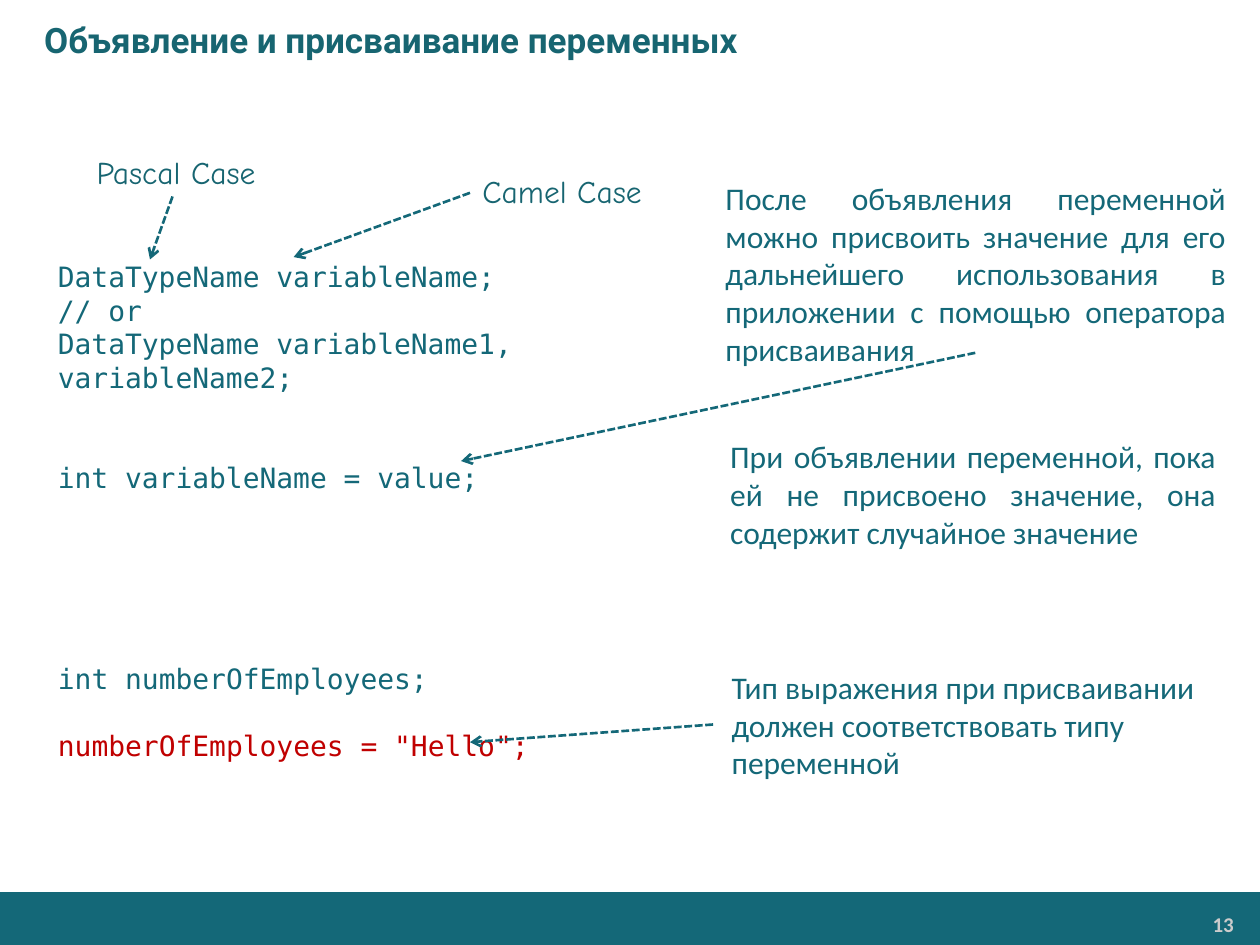
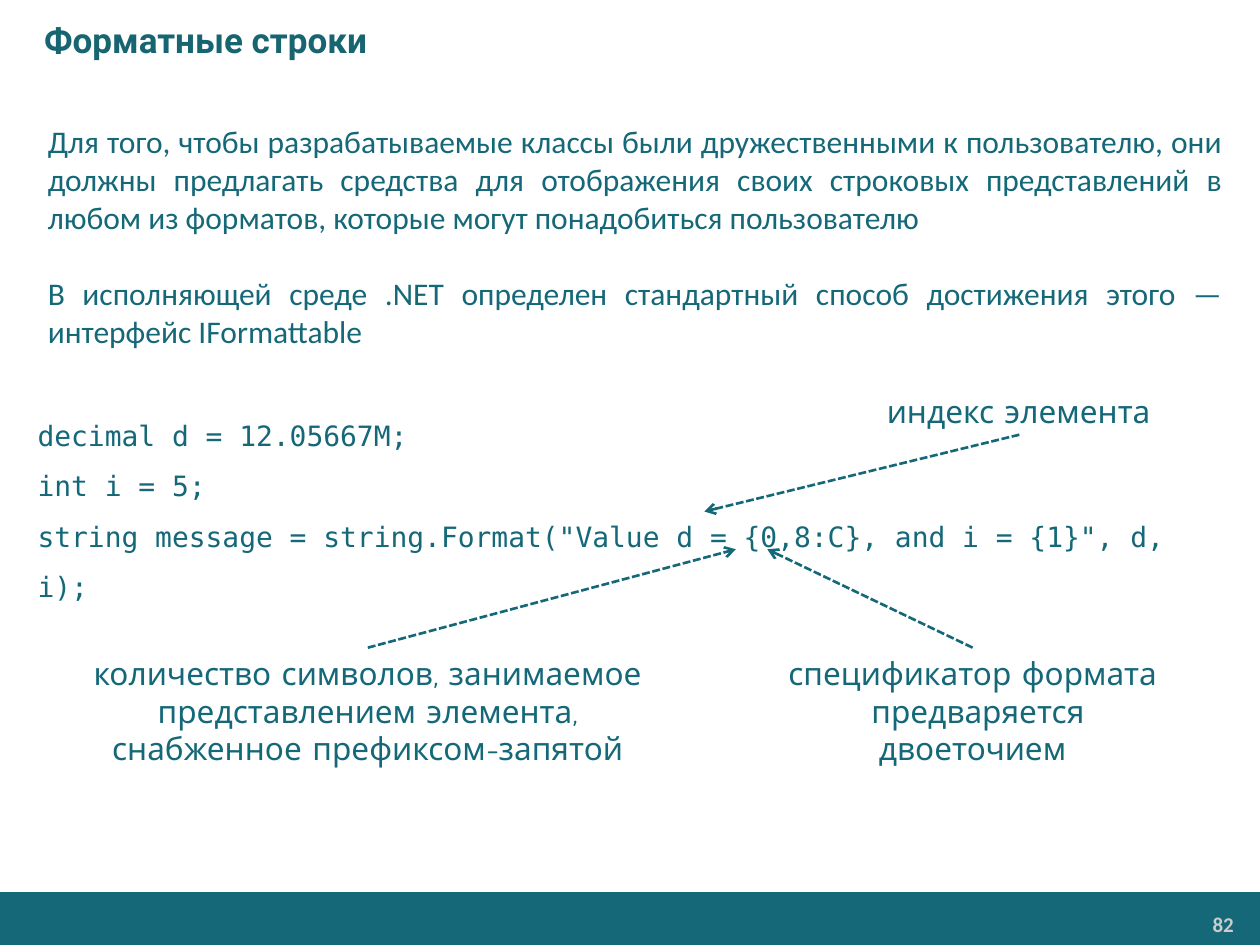
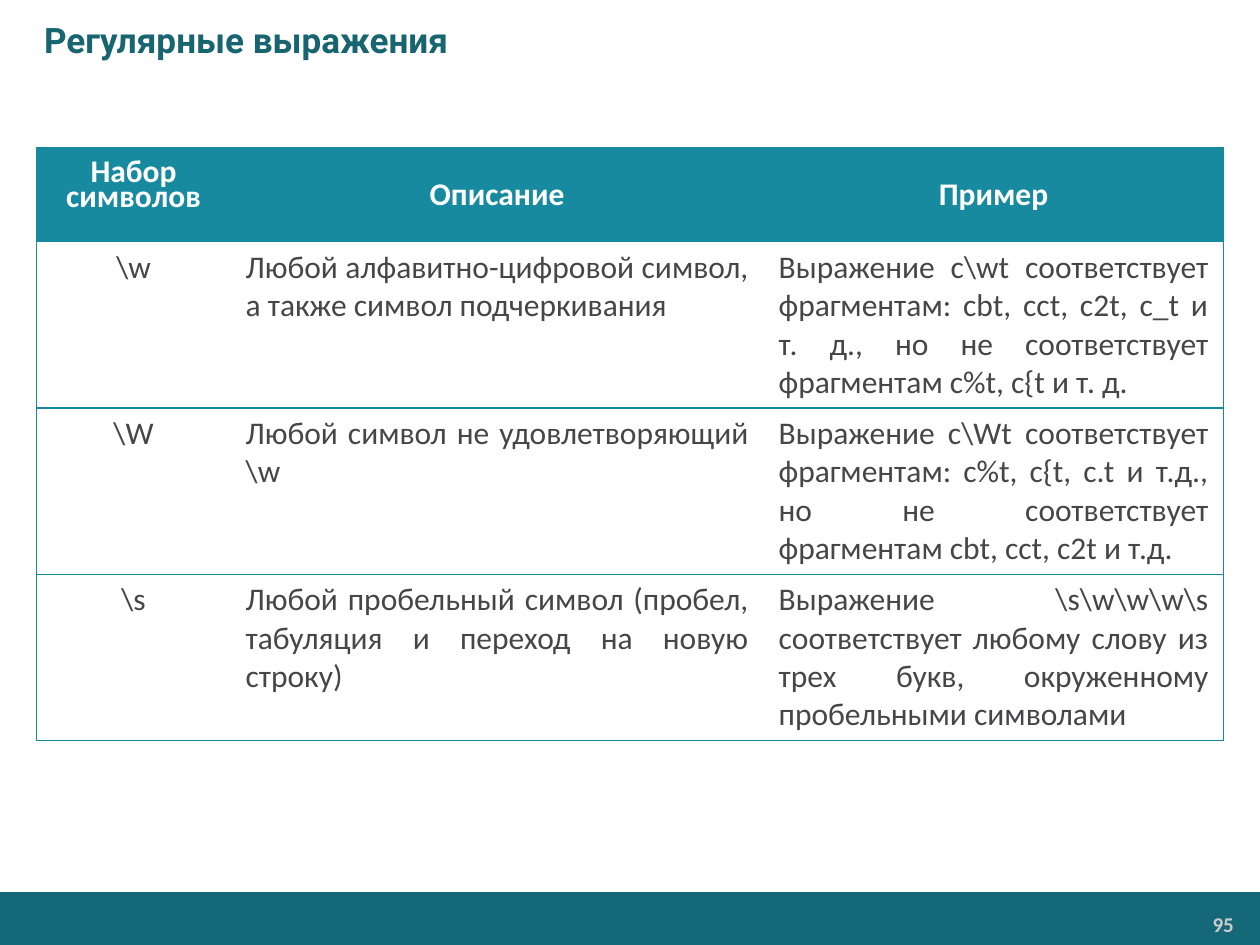
from lxml import etree
from pptx import Presentation
from pptx import util as u
from pptx.dml.color import RGBColor
from pptx.enum import dml, shapes, text
from pptx.oxml.ns import qn

COLORS = {
    "teal": "146878",
    "heading": "176571",
    "grid": "178AA0",
    "body": "464547",
    "error": "C00000",
    "number": "CCCCCC",
    "white": "FFFFFF",
}
RGB = {name: RGBColor.from_string(value) for name, value in COLORS.items()}
CODE = {"font": "DejaVu Sans Mono", "size": 16}
HAND = {"font": "Comic Neue"}
JUSTIFY, CENTER, RIGHT = text.PP_ALIGN.JUSTIFY, text.PP_ALIGN.CENTER, text.PP_ALIGN.RIGHT
TOP, MIDDLE = text.MSO_ANCHOR.TOP, text.MSO_ANCHOR.MIDDLE


def write(frame, lines, font="Calibri", size=18, color="teal", bold=False,
          align=None, spacing=None, gaps=None):
    """Fill a text frame, one paragraph a line; gaps maps a line index to space before it."""
    for index, line in enumerate(lines):
        paragraph = frame.paragraphs[0] if index == 0 else frame.add_paragraph()
        paragraph.alignment = align
        if spacing:
            paragraph.line_spacing = spacing
        if gaps and index in gaps:
            paragraph.space_before = u.Pt(gaps[index])
        run = paragraph.add_run()
        run.text = line
        run.font.name = font
        run.font.size = u.Pt(size)
        run.font.bold = bold
        run.font.color.rgb = RGB[color]
    return frame.paragraphs


def add_text(slide, box, lines, preset=None, anchor=TOP, left=7.2, inset=(7.2, 3.6), **style):
    """Place a text box, or a white-edged preset shape, and write in it."""
    area = [u.Pt(length) for length in box]
    if preset is None:
        holder = slide.shapes.add_textbox(*area)
    else:
        holder = slide.shapes.add_shape(preset, *area)
        holder.shadow.inherit = False
        holder.fill.solid()
        holder.fill.fore_color.rgb = RGB["white"]
        holder.line.color.rgb = RGB["white"]
        holder.line.width = u.Pt(0.75)
        style.setdefault("align", text.PP_ALIGN.LEFT)
    frame = holder.text_frame
    frame.word_wrap = True
    frame.vertical_anchor = anchor
    frame.margin_left = u.Pt(left)
    frame.margin_right = u.Pt(inset[0])
    frame.margin_top = frame.margin_bottom = u.Pt(inset[1])
    return write(frame, lines, **style)


deck = Presentation()
deck.slide_width, deck.slide_height = u.Pt(720), u.Pt(540)

# Shared title, band and page number
pages = []
for heading, number in [
    ("Объявление и присваивание переменных", "13"),
    ("Форматные строки", "82"),
    ("Регулярные выражения", "95"),
]:
    page = deck.slides.add_slide(deck.slide_layouts[6])
    band = page.shapes.add_shape(shapes.MSO_SHAPE.RECTANGLE,
                                 0, u.Pt(509.8), u.Pt(720.7), u.Pt(31))
    band.shadow.inherit = False
    band.fill.solid()
    band.fill.fore_color.rgb = RGB["teal"]
    band.line.fill.background()
    add_text(page, (592.6, 517.7, 117.4, 20.2), [number], left=5, inset=(5, 3),
             size=12, color="number", bold=True, align=RIGHT)
    add_text(page, (0, 0, 720, 45), [heading], anchor=MIDDLE, left=25.2,
             font="Roboto", size=20, color="heading", bold=True)
    pages.append(page)
variables, formats, regex = pages

# Declaring and assigning variables
add_text(variables, (407.5, 378, 301, 72),
         ["Тип выражения при присваивании должен соответствовать типу переменной"],
         preset=shapes.MSO_SHAPE.ROUNDED_RECTANGLE, anchor=MIDDLE)
mismatch = add_text(variables, (11.5, 378, 306, 72),
                    ["int numberOfEmployees;", 'numberOfEmployees = "Hello";'],
                    preset=shapes.MSO_SHAPE.FLOWCHART_DOCUMENT, anchor=MIDDLE,
                    left=21.6, gaps={1: 19.2}, **CODE)
mismatch[-1].runs[0].font.color.rgb = RGB["error"]
add_text(variables, (406, 239, 300.2, 86.4),
         ["При объявлении переменной, пока ей не присвоено значение, "
          "она содержит случайное значение"],
         preset=shapes.MSO_SHAPE.ROUNDED_RECTANGLE, anchor=MIDDLE, align=JUSTIFY)
add_text(variables, (407.5, 98.6, 300.2, 116.6),
         ["После объявления переменной можно присвоить значение для его дальнейшего "
          "использования в приложении с помощью оператора присваивания"], align=JUSTIFY)
add_text(variables, (11.5, 144.7, 408.2, 123.8),
         ["DataTypeName variableName;", "// or",
          "DataTypeName variableName1, variableName2;", "int variableName = value;"],
         left=21.6, gaps={3: 38.4}, **CODE)
for label, x, y in [("Pascal Case", 48.2, 84.2), ("Camel Case", 268.6, 95)]:
    add_text(variables, (x, y, 126.7, 28.8), [label], color="heading", align=JUSTIFY, **HAND)

# Format strings
add_text(formats, (20.2, 66.2, 685.4, 138.2),
         ["Для того, чтобы разрабатываемые классы были дружественными к пользователю, "
          "они должны предлагать средства для отображения своих строковых представлений "
          "в любом из форматов, которые могут понадобиться пользователю",
          "В исполняющей среде .NET определен стандартный способ достижения этого — "
          "интерфейс IFormattable"], align=JUSTIFY, gaps={1: 22})
add_text(formats, (14.4, 226.1, 691.2, 94.3),
         ["decimal d = 12.05667M;", "int i = 5;",
          'string message = string.Format("Value d = {0,8:C}, аnd i = {1}", d, i);'],
         spacing=1.5, **CODE)
for box, lines in [
    ((30.2, 370.1, 360, 72.7), ["количество символов, занимаемое представлением элемента, "
                                "снабженное префиксом-запятой"]),
    ((432.7, 370.1, 246.2, 72.7), ["спецификатор формата", " предваряется двоеточием"]),
    ((499.7, 220.3, 164.9, 28.8), ["индекс элемента"]),
]:
    add_text(formats, box, lines, align=CENTER, **HAND)

# Arrows from each remark to the code it explains
for page, start, end in [
    (variables, (557.3, 201.6), (263.5, 263.5)),
    (variables, (407.5, 414), (268.6, 424.1)),
    (variables, (268.6, 110.2), (167.8, 146.9)),
    (variables, (98.6, 112.3), (85.7, 148.3)),
    (formats, (210.2, 370.1), (420.5, 313.9)),
    (formats, (555.8, 370.1), (438.5, 313.9)),
    (formats, (582.5, 248.4), (402.5, 292.3)),
]:
    arrow = page.shapes.add_connector(shapes.MSO_CONNECTOR.STRAIGHT,
                                      *[u.Pt(length) for length in start + end])
    arrow.line.color.rgb = RGB["teal"]
    arrow.line.width = u.Pt(1.5)
    arrow.line.dash_style = dml.MSO_LINE.SQUARE_DOT
    properties = arrow.element.spPr
    etree.SubElement(properties.find(qn("a:ln")), qn("a:tailEnd"), type="arrow")
    etree.SubElement(properties, qn("a:effectLst"))

# Regular expressions
rows = [
    (["Набор", "символов"], ["Описание"], ["Пример"]),
    (["\\w"], ["Любой алфавитно-цифровой символ, а также символ подчеркивания"],
     ["Выражение c\\wt соответствует фрагментам: cbt, cct, c2t, c_t и т. д., "
      "но не соответствует фрагментам c%t, c{t и т. д."]),
    (["\\W"], ["Любой символ не удовлетворяющий \\w"],
     ["Выражение c\\Wt соответствует фрагментам: c%t, c{t, c.t и т.д., "
      "но не соответствует фрагментам cbt, cct, c2t и т.д."]),
    (["\\s"], ["Любой пробельный символ (пробел, табуляция и переход на новую строку)"],
     ["Выражение \\s\\w\\w\\w\\s соответствует любому слову из трех букв, "
      "окруженному пробельными символами"]),
]
widths, heights = [110.9, 304.6, 262.8], [54, 95, 95, 95]
table = regex.shapes.add_table(len(rows), len(widths), u.Pt(20.9), u.Pt(84.2),
                               u.Pt(sum(widths)), u.Pt(sum(heights))).table
table.first_row = table.horz_banding = False
for column, width in zip(table.columns, widths):
    column.width = u.Pt(width)
for row, height in zip(table.rows, heights):
    row.height = u.Pt(height)

for r, row in enumerate(rows):
    for c, lines in enumerate(row):
        cell = table.cell(r, c)
        header, charset = r == 0, c == 0
        tight = header and charset
        cell.margin_left = cell.margin_right = u.Pt(6.5 if tight else 8.6)
        cell.margin_top = cell.margin_bottom = u.Pt(0 if tight else 3.6)
        cell.vertical_anchor = MIDDLE if header else TOP
        paragraphs = write(cell.text_frame, lines, bold=header,
                           color="white" if header else "body",
                           align=CENTER if header or charset else JUSTIFY,
                           spacing=u.Pt(10) if tight else None,
                           gaps={1: 2} if tight else None)
        if tight:
            for paragraph in paragraphs:
                paragraph.space_after = u.Pt(2)

        borders = cell._tc.get_or_add_tcPr()
        visible = {"L": charset, "R": c == len(widths) - 1, "T": True, "B": True}
        for side, shown in visible.items():
            edge = etree.SubElement(borders, qn(f"a:ln{side}"), w=str(u.Pt(0.75)))
            if shown:
                paint = etree.SubElement(edge, qn("a:solidFill"))
                etree.SubElement(paint, qn("a:srgbClr"), val=COLORS["grid"])
            else:
                etree.SubElement(edge, qn("a:noFill"))
        cell.fill.solid()
        cell.fill.fore_color.rgb = RGB["grid" if header else "white"]

deck.save("out.pptx")
